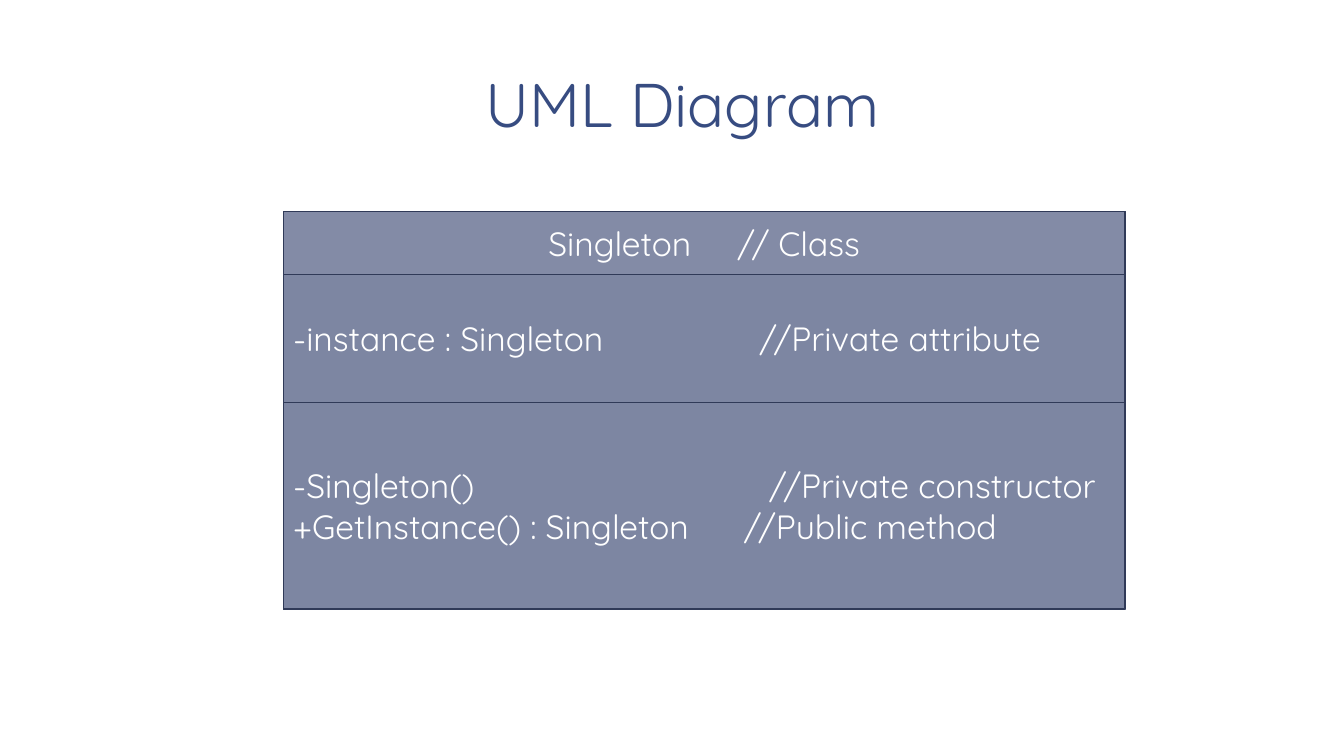
from dataclasses import dataclass

from lxml.etree import SubElement
from pptx import Presentation
from pptx.dml.color import RGBColor
from pptx.enum.shapes import MSO_SHAPE
from pptx.enum.text import MSO_ANCHOR, PP_ALIGN
from pptx.oxml.ns import qn
from pptx.shapes.autoshape import Shape
from pptx.slide import Slide
from pptx.text.text import TextFrame, _Paragraph
from pptx.util import Pt

LEFT, TOP, WIDTH = 202.3, 151.2, 601.2
FONT = "Quicksand"
FILL, EDGE, WHITE, NAVY = "414E77", "303A58", "FFFFFF", "374C81"


@dataclass
class Line:
    """A member and its note, which starts at a tab stop."""
    member: str
    note: str
    tab: float


@dataclass
class Box:
    height: float
    alpha: int
    lines: list[Line]
    align: PP_ALIGN = PP_ALIGN.LEFT


BOXES = [
    Box(44.8, 54, [Line("Singleton", "// Class", 135)], PP_ALIGN.CENTER),
    Box(91.4, 58, [Line("-instance : Singleton", "//Private attribute", 333)]),
    Box(147.6, 58, [
        Line("-Singleton()", "//Private constructor", 340),
        Line("+GetInstance() : Singleton", "//Public method", 322),
    ]),
]


def color(code: str) -> RGBColor:
    return RGBColor.from_string(code)


def style(item: object, form: dict) -> None:
    for name, value in form.items():
        setattr(item, name, value)


def write(par: _Paragraph, text: str, size: float, code: str) -> None:
    run = par.add_run()
    run.text = text
    style(run.font, {"name": FONT, "size": Pt(size)})
    run.font.color.rgb = color(code)


def add_tab(par: _Paragraph, pos: float) -> None:
    stops = SubElement(par._p.get_or_add_pPr(), qn("a:tabLst"))
    SubElement(stops, qn("a:tab"), pos=str(Pt(pos)), algn="l")


def add_rect(slide: Slide, top: float, height: float, alpha: int) -> Shape:
    """Draw a full-width rectangle; alpha is its opacity in percent."""
    rect = slide.shapes.add_shape(
        MSO_SHAPE.RECTANGLE, Pt(LEFT), Pt(top), Pt(WIDTH), Pt(height))
    rect.shadow.inherit = False
    rect.fill.solid()
    rect.fill.fore_color.rgb = color(FILL)
    tint = rect._element.spPr.find(f"{qn('a:solidFill')}/{qn('a:srgbClr')}")
    SubElement(tint, qn("a:alpha"), val=str(alpha * 1000))
    rect.line.color.rgb = color(EDGE)
    rect.line.width = Pt(1)
    return rect


def fill_box(frame: TextFrame, box: Box) -> None:
    style(frame, {"word_wrap": True, "vertical_anchor": MSO_ANCHOR.MIDDLE})
    for index, line in enumerate(box.lines):
        par = frame.add_paragraph() if index else frame.paragraphs[0]
        par.alignment = box.align
        add_tab(par, line.tab)
        write(par, f"{line.member}\t{line.note}", 24, WHITE)


def add_title(slide: Slide, text: str) -> None:
    frame = slide.shapes.add_textbox(
        Pt(87.8), Pt(5.8), Pt(800), Pt(99.4)).text_frame
    style(frame, {
        "word_wrap": True, "vertical_anchor": MSO_ANCHOR.BOTTOM,
        "margin_left": Pt(9.4), "margin_right": Pt(9.4),
        "margin_top": Pt(5), "margin_bottom": Pt(5),
    })
    par = frame.paragraphs[0]
    style(par, {"alignment": PP_ALIGN.CENTER, "line_spacing": 0.85})
    write(par, text, 44, NAVY)


def main() -> None:
    deck = Presentation()
    style(deck, {"slide_width": Pt(960), "slide_height": Pt(540)})
    slide = deck.slides.add_slide(deck.slide_layouts[6])
    add_title(slide, "UML Diagram")
    add_rect(slide, TOP, sum(box.height for box in BOXES), 24)
    top = TOP
    for box in BOXES:
        rect = add_rect(slide, top, box.height, box.alpha)
        fill_box(rect.text_frame, box)
        top += box.height
    deck.save("out.pptx")


if __name__ == "__main__":
    main()
